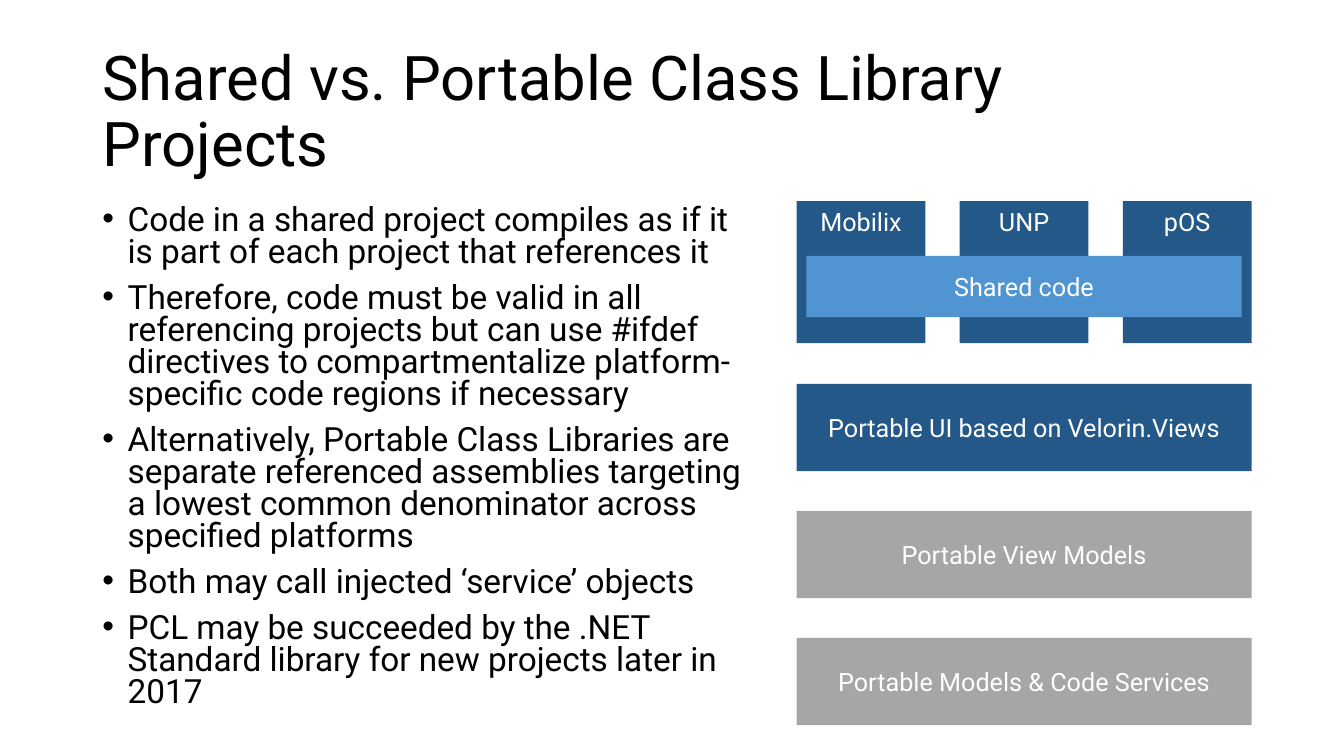
import pptx
import pptx.util
import pptx.dml.color
import pptx.enum.shapes
import pptx.enum.text

Pt = pptx.util.Pt
ALIGN = pptx.enum.text.PP_ALIGN
ANCHOR = pptx.enum.text.MSO_ANCHOR

FONT = "Roboto"
COLORS = {
    "text": "000000",
    "light": "FFFFFF",
    "navy": "235888",
    "blue": "5095D1",
    "gray": "A6A6A6",
}
TITLE = "Shared vs. Portable Class Library Projects"
POINTS = [
    "Code in a shared project compiles as if it is part of each project "
    "that references it",
    "Therefore, code must be valid in all referencing projects but can use "
    "#ifdef directives to compartmentalize platform-specific code regions "
    "if necessary",
    "Alternatively, Portable Class Libraries are separate referenced "
    "assemblies targeting a lowest common denominator across specified "
    "platforms",
    "Both may call injected ‘service’ objects",
    "PCL may be succeeded by the .NET Standard library for new projects "
    "later in 2017",
]
SYSTEMS = ["Mobilix", "UNP", "pOS"]
LAYERS = [
    ("Portable UI based on Velorin.Views", "navy"),
    ("Portable View Models", "gray"),
    ("Portable Models & Code Services", "gray"),
]


def color(name):
    return pptx.dml.color.RGBColor.from_string(COLORS[name])


def place(shape, left, top, width, height):
    shape.left, shape.top = Pt(left), Pt(top)
    shape.width, shape.height = Pt(width), Pt(height)


def style(para, size, tint, align):
    para.font.name = FONT
    para.font.size = Pt(size)
    para.font.color.rgb = color(tint)
    para.alignment = align


def add_title(slide):
    title = slide.shapes.title
    place(title, 66, 28.75, 828, 104.4)
    frame = title.text_frame
    frame.text = TITLE
    frame.auto_size = pptx.enum.text.MSO_AUTO_SIZE.NONE
    frame.vertical_anchor = ANCHOR.MIDDLE
    frame.margin_right = Pt(16)
    para = frame.paragraphs[0]
    style(para, 44, "text", ALIGN.LEFT)
    para.line_spacing = 0.9


def add_list(slide):
    body = slide.placeholders[1]
    place(body, 66, 143.75, 479, 374.4)
    frame = body.text_frame
    frame.text = "\n".join(POINTS)
    frame.auto_size = pptx.enum.text.MSO_AUTO_SIZE.NONE
    for para in frame.paragraphs:
        style(para, 23.8, "text", ALIGN.LEFT)
        para.line_spacing = 0.8
        para.space_before = Pt(10)
        # Hanging indent for the bullet
        props = para._p.get_or_add_pPr()
        props.set("marL", str(Pt(18)))
        props.set("indent", str(-Pt(18)))


def add_box(slide, text, fill, left, top, width, height,
            anchor=ANCHOR.MIDDLE):
    kind = pptx.enum.shapes.MSO_SHAPE.RECTANGLE
    box = slide.shapes.add_shape(
        kind, Pt(left), Pt(top), Pt(width), Pt(height))
    box.shadow.inherit = False
    box.fill.solid()
    box.fill.fore_color.rgb = color(fill)
    box.line.fill.background()
    frame = box.text_frame
    frame.word_wrap = True
    frame.vertical_anchor = anchor
    frame.text = text
    style(frame.paragraphs[0], 18, "light", ALIGN.CENTER)


def add_stack(slide):
    left, top, width = 569, 143.75, 325
    # Layers below the platforms
    for row, (text, fill) in enumerate(LAYERS):
        add_box(slide, text, fill, left, 274.2 + row * 90.7, width, 62.4)
    # Platforms, crossed by the shared code
    size = 92
    step = (width - size) / (len(SYSTEMS) - 1)
    for col, text in enumerate(SYSTEMS):
        add_box(slide, text, "navy", left + col * step, top, size, 101.4,
                ANCHOR.TOP)
    add_box(slide, "Shared code", "blue", left + 7, 182.8, width - 14, 43.8)


def main():
    deck = pptx.Presentation()
    deck.slide_width, deck.slide_height = Pt(960), Pt(540)
    slide = deck.slides.add_slide(deck.slide_layouts[1])
    add_title(slide)
    add_list(slide)
    add_stack(slide)
    deck.save("out.pptx")


if __name__ == "__main__":
    main()
